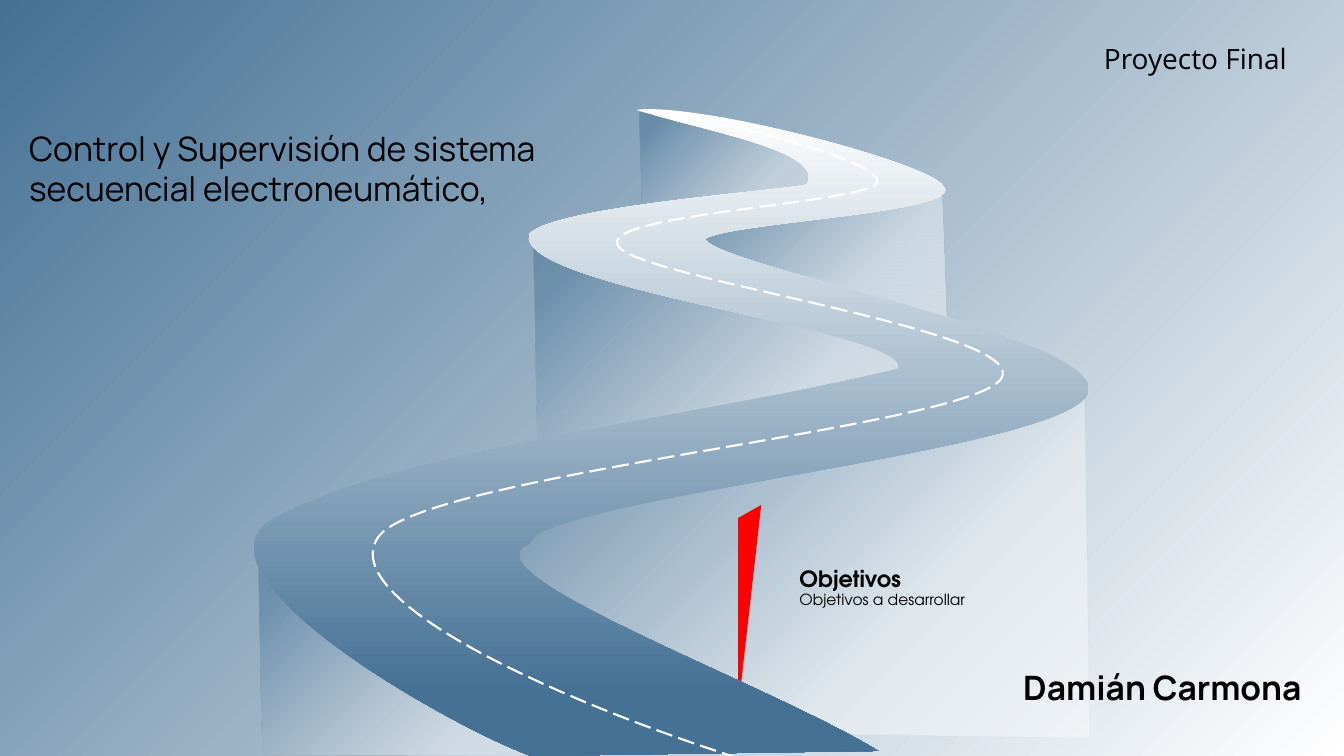
import pptx
import pptx.dml.color
import pptx.enum.dml
import pptx.enum.text
import pptx.oxml
import pptx.oxml.ns
import pptx.util

PX = 9144  # EMU in one px, 100 px to the inch
WIDE, HIGH = 1333, 750
WHITE, BLUE, BLACK, RED = "FFFFFF", "457195", "000000", "FF0000"

# Outlines of the translucent walls below the road
WALLS = [
    [(1075, 395), (1080, 732), (743, 727), (657, 680), (509, 592), (490, 539),
     (525, 513), (597, 493), (736, 466), (899, 440), (1009, 414)],
    [(529, 239), (533, 439), (856, 397), (939, 370), (922, 335), (686, 281)],
    [(256, 554), (260, 748), (598, 749), (381, 631)],
    [(634, 112), (637, 214), (819, 193), (822, 162), (730, 128)],
    [(934, 183), (939, 319), (748, 272), (682, 230), (706, 204), (781, 195)],
]
MARK = [(732, 514), (755, 501), (732, 705)]

# Bezier chains: a start, then two handles and an end for each bend
EDGE = [
    (527, 750), (451, 723), (186, 574), (267, 517),
    (397, 443), (671, 419), (891, 366), (908, 327), (509, 287), (525, 232),
    (553, 204), (779, 189), (800, 183), (821, 150), (698, 130), (631, 109),
    (693, 101), (922, 162), (935, 184), (965, 211), (725, 220), (699, 237),
    (712, 265), (1092, 334), (1079, 388), (1073, 446), (533, 494), (526, 539),
    (452, 567), (760, 677), (871, 745),
]
LANE = [
    (732, 752), (559, 697), (332, 596), (375, 533),
    (418, 471), (952, 425), (992, 377), (1031, 329), (633, 277), (613, 244),
    (592, 212), (862, 202), (870, 181), (878, 160), (710, 119), (698, 122),
]


def tint(code):
    return pptx.dml.color.RGBColor.from_string(code)


def blend(fill, angle, stops):
    """Two-colour gradient; the angle runs counterclockwise."""
    fill.gradient()
    fill.gradient_angle = angle
    for stop, (place, code) in zip(fill.gradient_stops, stops):
        stop.position = place
        stop.color.rgb = tint(code)


def fade(shape, rates):
    """Set the opacity of each gradient stop, in percent."""
    marks = shape._element.spPr.iter(pptx.oxml.ns.qn("a:srgbClr"))
    for mark, rate in zip(marks, rates):
        alpha = pptx.oxml.parse_xml(
            f'<a:alpha {pptx.oxml.ns.nsdecls("a")} val="{rate * 1000}"/>')
        mark.append(alpha)


def draw(slide, box, points, close=True):
    left, top = box[:2]
    spots = [((left + x) * PX, (top + y) * PX) for x, y in points]
    pen = slide.shapes.build_freeform(*spots[0], scale=1.0)
    pen.add_line_segments(spots[1:], close=close)
    shape = pen.convert_to_shape()
    shape.shadow.inherit = False
    if close:
        shape.line.fill.background()
    return shape


def curve(slide, box, chain, bounds, close=True):
    """Draw a Bezier chain whose bends fill the given bounds."""
    shape = draw(slide, box, chain, close)
    name = pptx.oxml.ns.qn
    trail = next(shape._element.spPr.iter(name("a:path")))
    # Join each three points into one bend
    steps = trail.findall(name("a:lnTo"))
    for i in range(0, len(steps), 3):
        bend = pptx.oxml.parse_xml(
            f'<a:cubicBezTo {pptx.oxml.ns.nsdecls("a")}/>')
        steps[i].addprevious(bend)
        for step in steps[i:i + 3]:
            bend.append(step[0])
            trail.remove(step)
    # Fit the frame to the bends rather than to their handles
    x, y, width, height = (side * PX for side in bounds)
    x, y = x + box[0] * PX, y + box[1] * PX
    shifts = {"x": shape.left - x, "y": shape.top - y}
    for spot in trail.iter(name("a:pt")):
        for axis, shift in shifts.items():
            spot.set(axis, str(int(spot.get(axis)) + shift))
    trail.set("w", str(width))
    trail.set("h", str(height))
    shape.left, shape.top, shape.width, shape.height = x, y, width, height
    return shape


def write(slide, box, text, font, size, bold=False, wrap=True, align=None):
    area = slide.shapes.add_textbox(*(side * PX for side in box))
    frame = area.text_frame
    frame.word_wrap = wrap
    frame.auto_size = pptx.enum.text.MSO_AUTO_SIZE.SHAPE_TO_FIT_TEXT
    para = frame.paragraphs[0]
    para.alignment = align
    run = para.add_run()
    run.text = text
    run.font.name = font
    run.font.size = pptx.util.Pt(size)
    run.font.bold = bold
    run.font.color.rgb = tint(BLACK)


def road(slide, box):
    # Walls
    for wall in WALLS:
        shape = draw(slide, box, wall)
        blend(shape.fill, 135, [(0.32, WHITE), (0.9, BLUE)])
        fade(shape, (39, 45))
    # Red marker, its foot hidden by the road
    flag = draw(slide, box, MARK)
    flag.fill.solid()
    flag.fill.fore_color.rgb = tint(RED)
    # Road surface
    track = curve(slide, box, EDGE, (251, 108, 828, 642))
    blend(track.fill, 270, [(0, WHITE), (0.9, BLUE)])
    # Dashed centre line
    lane = curve(slide, box, LANE, (370, 122, 625, 630), close=False)
    lane.fill.background()
    lane.line.color.rgb = tint(WHITE)
    lane.line.width = pptx.util.Pt(1.5)
    lane.line.dash_style = pptx.enum.dml.MSO_LINE.LONG_DASH


def titles(slide, box):
    left, top, width, height = box
    right, base = left + width, top + height
    just = pptx.enum.text.PP_ALIGN.JUSTIFY
    write(slide, (right - 248, top + 36, 218, 44), "Proyecto Final",
          "Open Sans", 20, wrap=False)
    write(slide, (left + 19, top + 122, 522, 91),
          "Control y Supervisión de sistema secuencial electroneumático,",
          "Manrope", 24, align=just)
    write(slide, (right - 328, base - 93, 298, 50), "Damián Carmona",
          "Manrope", 24, bold=True, align=just)


def goals(slide, box):
    left, top, width, height = box
    font = "TeX Gyre Adventor"
    pair = slide.shapes.add_group_shape()
    write(pair, (left, top, 134, 37), "Objetivos", font, 16, bold=True)
    write(pair, (left, top + 25, width, height - 25),
          "Objetivos a desarrollar", font, 11)


def main():
    deck = pptx.Presentation()
    deck.slide_width, deck.slide_height = WIDE * PX, HIGH * PX
    slide = deck.slides.add_slide(deck.slide_layouts[6])
    blend(slide.background.fill, 135, [(0, WHITE), (1, BLUE)])
    page = (0, 0, WIDE, HIGH)
    road(slide, page)
    titles(slide, page)
    goals(slide, (783, 556, 215, 72))
    deck.save("out.pptx")


if __name__ == "__main__":
    main()
